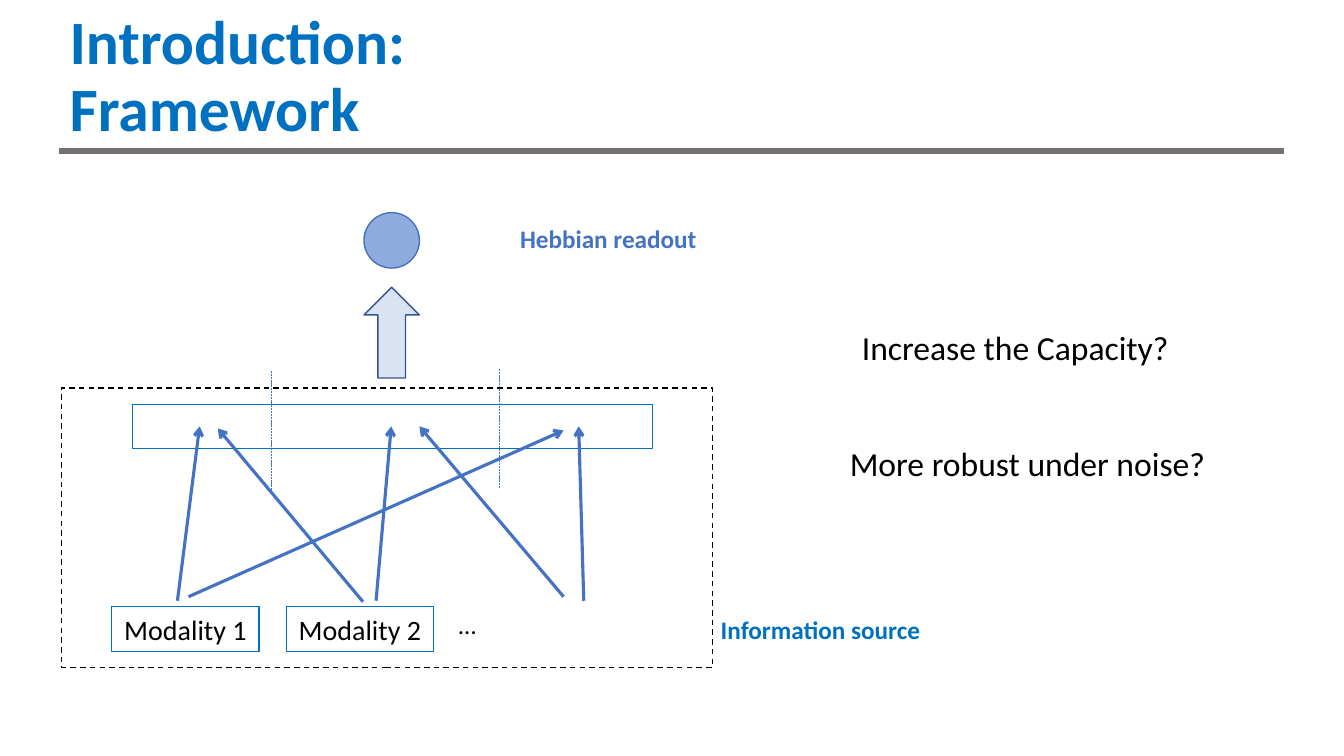
from lxml import etree
from pptx import Presentation
from pptx.dml.color import RGBColor
from pptx.enum.dml import MSO_LINE
from pptx.enum.shapes import MSO_CONNECTOR, MSO_SHAPE
from pptx.enum.text import MSO_ANCHOR, PP_ALIGN
from pptx.oxml.ns import qn
from pptx.util import Inches, Pt

STRAIGHT = MSO_CONNECTOR.STRAIGHT
RECT, CIRCLE, UP_ARROW = MSO_SHAPE.RECTANGLE, MSO_SHAPE.OVAL, MSO_SHAPE.UP_ARROW
DASH, SYS_DASH = MSO_LINE.DASH, MSO_LINE.SQUARE_DOT
TOP, MIDDLE = MSO_ANCHOR.TOP, MSO_ANCHOR.MIDDLE
LEFT, CENTER = PP_ALIGN.LEFT, PP_ALIGN.CENTER

FONT = "Calibri"
BLUE, ACCENT, BLACK = "0070C0", "4472C4", "000000"


def rgb(value):
    return RGBColor.from_string(value)


def write(sp, text, size=18, color=BLACK, bold=False, align=LEFT,
          anchor=TOP, wrap=True, spacing=None):
    """Fill a shape with one paragraph; newlines become line breaks."""
    tf = sp.text_frame
    tf.word_wrap = wrap
    tf.vertical_anchor = anchor
    p = tf.paragraphs[0]
    p.alignment = align
    if spacing:
        p.line_spacing = spacing
    for i, line in enumerate(text.split("\n")):
        if i:
            p.add_line_break()
        r = p.add_run()
        r.text = line
        r.font.name = FONT
        r.font.size = Pt(size)
        r.font.bold = bold
        r.font.color.rgb = rgb(color)


def add_label(slide, x, y, w, h, text, **fmt):
    sp = slide.shapes.add_textbox(Inches(x), Inches(y), Inches(w), Inches(h))
    write(sp, text, wrap=False, **fmt)


def add_box(slide, kind, x, y, w, h, line, width=0.75, fill=None, dash=None):
    sp = slide.shapes.add_shape(kind, Inches(x), Inches(y), Inches(w), Inches(h))
    sp.shadow.inherit = False
    if fill:
        sp.fill.solid()
        sp.fill.fore_color.rgb = rgb(fill)
    else:
        sp.fill.background()
    sp.line.color.rgb = rgb(line)
    sp.line.width = Pt(width)
    if dash:
        sp.line.dash_style = dash
    return sp


def add_line(slide, start, end, color=ACCENT, width=2.25, dash=None, arrow=False):
    x1, y1 = start
    x2, y2 = end
    line = slide.shapes.add_connector(
        STRAIGHT, Inches(x1), Inches(y1), Inches(x2), Inches(y2))
    line.line.color.rgb = rgb(color)
    line.line.width = Pt(width)
    if dash:
        line.line.dash_style = dash
    if arrow:
        etree.SubElement(line.line._get_or_add_ln(), qn("a:tailEnd"), type="arrow")
    etree.SubElement(line._element.spPr, qn("a:effectLst"))


def add_title(slide, text):
    title = slide.shapes.title
    title.left, title.top = Inches(0.59), Inches(0.05)
    title.width, title.height = Inches(11.5), Inches(1.45)
    write(title, text, size=44, color=BLUE, bold=True, anchor=MIDDLE, spacing=0.9)
    add_line(slide, (0.59, 1.5), (12.73, 1.5), color="767171", width=4.5)


def add_sources(slide):
    for x, name in ((1.11, "Modality 1"), (2.84, "Modality 2")):
        sp = add_box(slide, RECT, x, 6.02, 1.46, 0.44, BLUE)
        write(sp, name, size=20, align=CENTER, anchor=MIDDLE)
    add_label(slide, 4.45, 6, 0.38, 0.4, "…")
    add_label(slide, 7.05, 6.05, 2.19, 0.4, "Information source", color=BLUE, bold=True)


def add_readout(slide):
    add_box(slide, RECT, 1.31, 4.01, 5.16, 0.44, BLUE)
    add_label(slide, 5.06, 2.17, 1.97, 0.4, "Hebbian readout", color=ACCENT, bold=True)
    add_box(slide, CIRCLE, 3.61, 2.11, 0.55, 0.55, ACCENT, width=1, fill="8FAADC")
    add_box(slide, UP_ARROW, 3.61, 2.85, 0.55, 0.9, "325491", width=1, fill="DAE3F3")
    for x, top in ((2.69, 3.68), (4.95, 3.66)):
        add_line(slide, (x, top), (x, top + 1.18), width=0.5, dash=SYS_DASH)


def add_projections(slide):
    """Arrows from the information sources up to the layer."""
    for start, end in (
        ((1.76, 5.96), (1.98, 4.23)),
        ((3.73, 5.96), (3.88, 4.23)),
        ((5.79, 5.96), (5.74, 4.23)),
        ((3.6, 5.97), (2.16, 4.25)),
        ((1.87, 5.92), (5.59, 4.27)),
        ((5.59, 5.92), (4.16, 4.23)),
    ):
        add_line(slide, start, end, arrow=True)


def main():
    prs = Presentation()
    prs.slide_width, prs.slide_height = Inches(13.33), Inches(7.5)
    slide = prs.slides.add_slide(prs.slide_layouts[5])
    add_title(slide, "Introduction:\nFramework")
    add_sources(slide)
    add_readout(slide)
    add_projections(slide)
    add_box(slide, RECT, 0.61, 3.85, 6.46, 2.77, BLACK, width=1, dash=DASH)
    add_label(slide, 8.45, 3.19, 3.27, 0.5, "Increase the Capacity?", size=24)
    add_label(slide, 8.33, 4.34, 3.76, 0.5, "More robust under noise?", size=24)
    prs.save("out.pptx")


if __name__ == "__main__":
    main()
